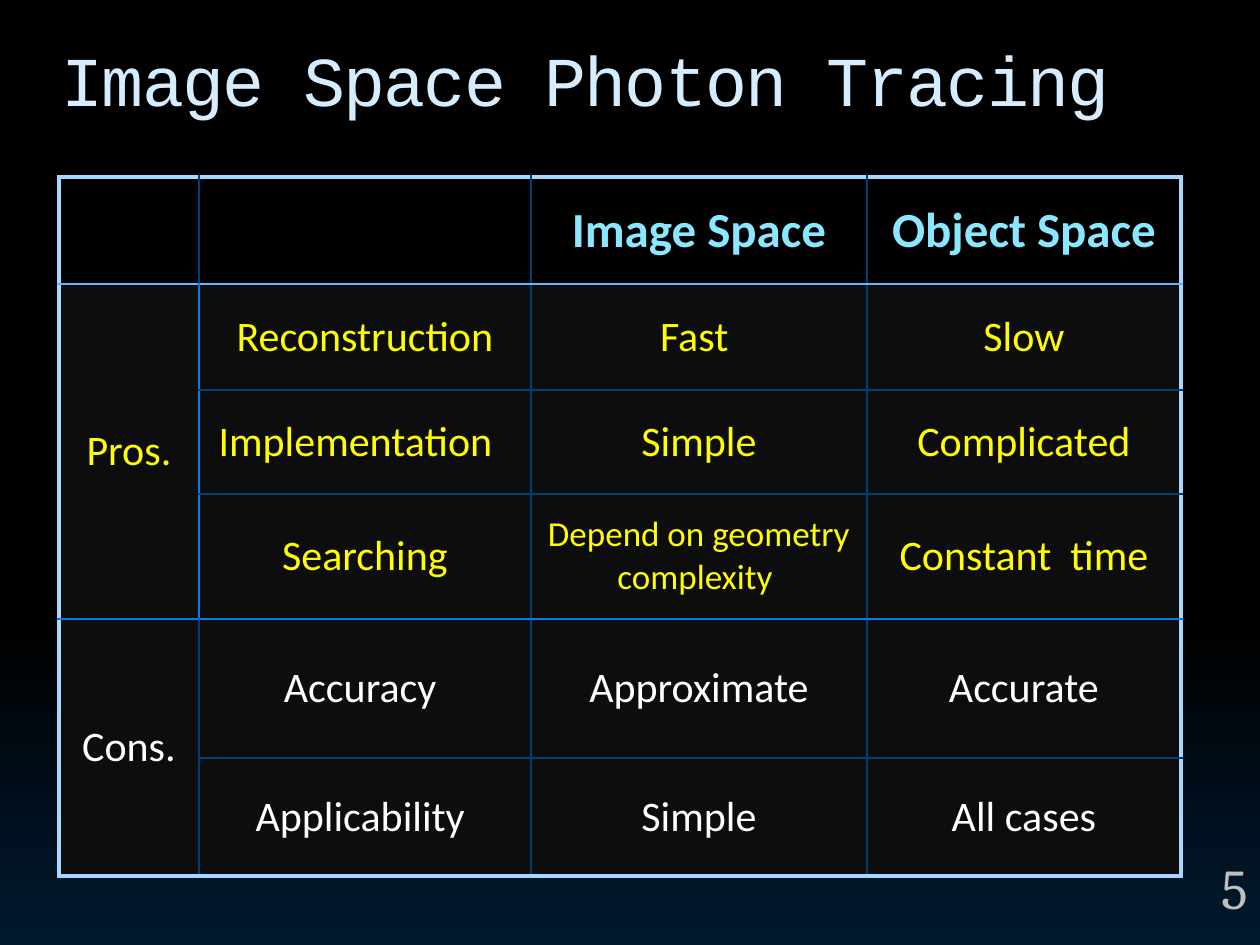
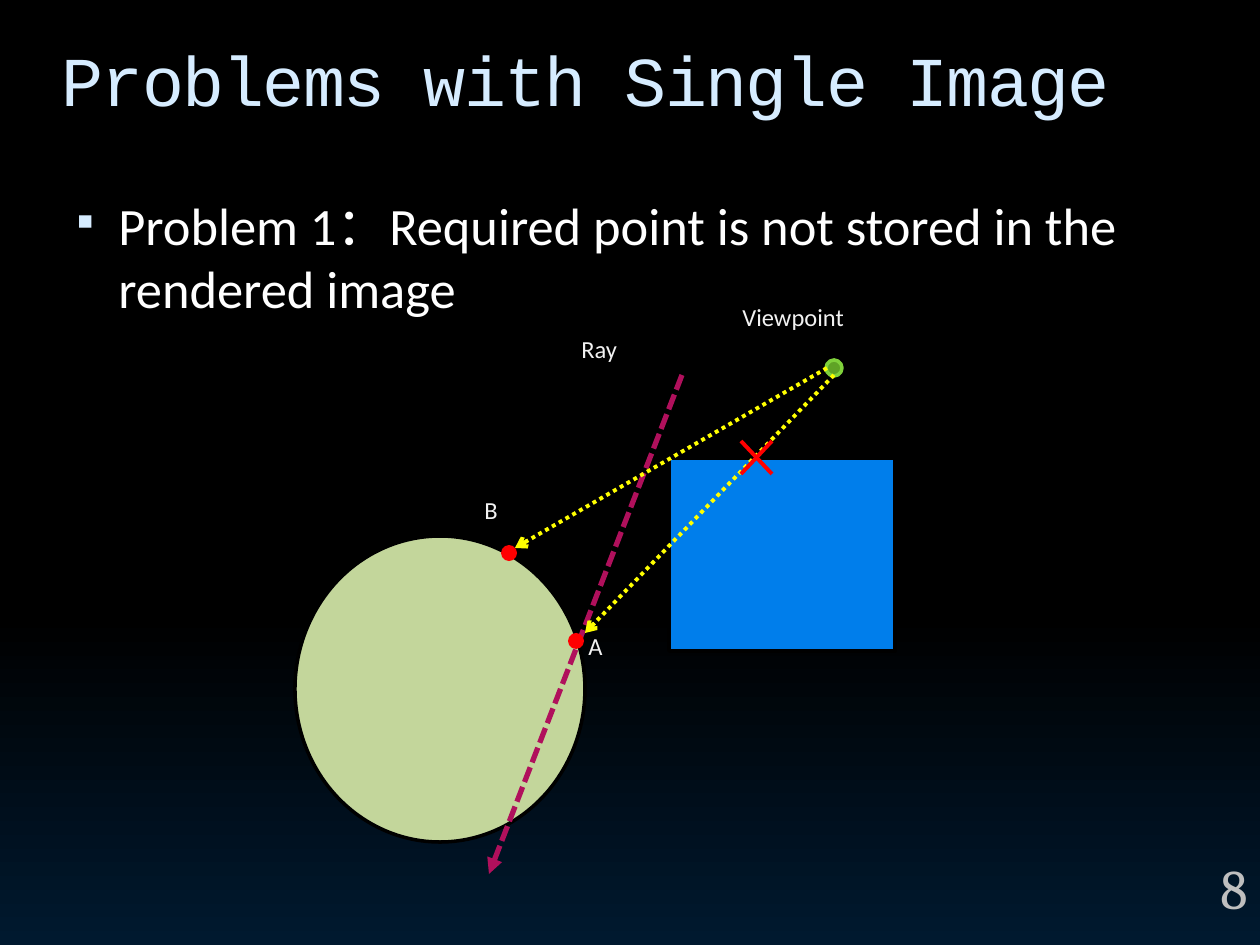
from copy import deepcopy

from lxml.etree import SubElement
from pptx import Presentation
from pptx.dml.color import RGBColor
from pptx.enum.dml import MSO_LINE
from pptx.enum.shapes import MSO_CONNECTOR, MSO_SHAPE
from pptx.enum.text import MSO_ANCHOR, PP_ALIGN
from pptx.oxml.ns import qn
from pptx.util import Emu, Pt

PX_PER_INCH = 126
PAGE_SIZE = (1260, 945)
TITLE_BOX = (49, 29, 1152, 126)
TITLE_BOTTOM_MARGIN = 34
NUMBER_BOX = (1152, 847, 108, 98)
BAND_TOP, BAND_HEIGHT = 93, 50
BANDS = ((43, 6), (37, 4), (34, 1), (30, 1))
TITLE_ONLY = 5
NO_STYLE = "{2D5ABB26-0587-4C30-8999-92F81FD0307C}"

BODY_FONT, TITLE_FONT, NUMBER_FONT = "Calibri", "Courier New", "Cambria"
BLACK, NAVY, WHITE, PALE_BLUE = "000000", "00192F", "FFFFFF", "D6ECFF"
YELLOW, RED, BLUE, GREY = "FFFF00", "FF0000", "007EEB", "BFBFBF"
LABEL_COLOR, HEADER_COLOR, CELL_FILL = "F2F2F2", "8BE6FF", "0D0D0D"
FRAME_LINE, HEADER_LINE, GRID_LINE = "A7D6FF", "61B6FF", "003F75"

COLUMN_WIDTHS = (140, 332, 336, 314)
ROW_HEIGHTS = (107, 106, 104, 125, 139, 118)
ROWS = (
    ("", "", "Image Space", "Object Space"),
    ("Pros.", "Reconstruction", "Fast ", "Slow"),
    ("", "Implementation  ", "Simple", "Complicated"),
    ("", "Searching", "Depend on geometry complexity ", "Constant  time"),
    ("Cons.", "Accuracy ", "Approximate", "Accurate"),
    ("", "Applicability ", "Simple", "All cases"),
)
PROS_START, CONS_START = 1, 4
SMALL_CELL = (3, 2)


def px(length):
    return Emu(round(length * 914400 / PX_PER_INCH))


def rgb(color):
    return RGBColor.from_string(color)


def write(para, text, size, color, font=BODY_FONT, bold=False):
    span = para.add_run()
    span.text = text
    span.font.name = font
    span.font.size = Pt(size)
    span.font.bold = bold
    span.font.color.rgb = rgb(color)
    return span


def add_text_box(shapes, box):
    frame = shapes.add_textbox(*map(px, box)).text_frame
    frame.word_wrap = True
    return frame.paragraphs[0]


def add_solid(shapes, kind, box, fill, outline=None):
    shape = shapes.add_shape(kind, *map(px, box))
    shape.shadow.inherit = False
    shape.fill.solid()
    shape.fill.fore_color.rgb = rgb(fill)
    if outline:
        shape.line.color.rgb = rgb(outline)
        shape.line.width = Pt(2)
    else:
        shape.line.fill.background()


def set_background(master):
    fill = master.background.fill
    fill.gradient()
    fill.gradient_angle = 270
    first_stop = next(master.element.iter(qn("a:gs")))
    first_stop.addnext(deepcopy(first_stop))
    stops = ((0, BLACK), (0.65, BLACK), (1, NAVY))
    for stop, (position, color) in zip(fill.gradient_stops, stops):
        stop.position = position
        stop.color.rgb = rgb(color)


def add_page(deck, title, number):
    page = deck.slides.add_slide(deck.slide_layouts[TITLE_ONLY])
    for left, width in BANDS:
        add_solid(page.shapes, MSO_SHAPE.RECTANGLE,
                  (left, BAND_TOP, width, BAND_HEIGHT), BLACK)

    heading = page.shapes.title
    heading.left, heading.top, heading.width, heading.height = map(px, TITLE_BOX)
    frame = heading.text_frame
    frame.vertical_anchor = MSO_ANCHOR.MIDDLE
    frame.margin_bottom = px(TITLE_BOTTOM_MARGIN)
    para = frame.paragraphs[0]
    para.alignment = PP_ALIGN.LEFT
    span = write(para, title, 40, PALE_BLUE, TITLE_FONT)
    span.font._element.set("spc", "-100")

    para = add_text_box(page.shapes, NUMBER_BOX)
    para.alignment = PP_ALIGN.RIGHT
    write(para, number, 32, GREY, NUMBER_FONT)
    return page


def horizontal_border(edge):
    if edge in (0, len(ROWS)):
        return FRAME_LINE, 2.25
    return {PROS_START: HEADER_LINE, CONS_START: BLUE}.get(edge, GRID_LINE), 1


def vertical_border(edge, row):
    if edge in (0, len(COLUMN_WIDTHS)):
        return FRAME_LINE, 2.25
    beside_pros = edge == 1 and PROS_START <= row < CONS_START
    return BLUE if beside_pros else GRID_LINE, 1


def set_borders(cell, row, column):
    bottom = row + cell.span_height
    borders = {
        "lnL": vertical_border(column, row),
        "lnR": vertical_border(column + 1, row),
    }
    for side, edge in (("lnT", row), ("lnB", bottom)):
        if column or edge in (0, PROS_START, CONS_START, len(ROWS)):
            borders[side] = horizontal_border(edge)
    properties = cell._tc.get_or_add_tcPr()
    for side, (color, width) in borders.items():
        line = SubElement(properties, qn(f"a:{side}"), w=str(Pt(width)))
        fill = SubElement(line, qn("a:solidFill"))
        SubElement(fill, qn("a:srgbClr"), val=color)


def format_cell(cell, row, column):
    set_borders(cell, row, column)
    if row < PROS_START:
        cell.fill.background()
        size, color = 28, HEADER_COLOR
    else:
        cell.fill.solid()
        cell.fill.fore_color.rgb = rgb(CELL_FILL)
        size = 20 if (row, column) == SMALL_CELL else 24
        color = YELLOW if row < CONS_START else WHITE
    cell.vertical_anchor = MSO_ANCHOR.MIDDLE
    if ROWS[row][column]:
        para = cell.text_frame.paragraphs[0]
        para.alignment = PP_ALIGN.CENTER
        write(para, ROWS[row][column], size, color, bold=row < PROS_START)


def add_comparison_table(page, left, top):
    size = (sum(COLUMN_WIDTHS), sum(ROW_HEIGHTS))
    frame = page.shapes.add_table(
        len(ROWS), len(COLUMN_WIDTHS), *map(px, (left, top, *size)))
    table = frame.table
    table.first_row = table.horz_banding = False
    next(frame._element.iter(qn("a:tableStyleId"))).text = NO_STYLE
    for column, width in zip(table.columns, COLUMN_WIDTHS):
        column.width = px(width)
    for row, height in zip(table.rows, ROW_HEIGHTS):
        row.height = px(height)
    for first, last in ((PROS_START, CONS_START - 1), (CONS_START, len(ROWS) - 1)):
        table.cell(first, 0).merge(table.cell(last, 0))
    for row in range(len(ROWS)):
        for column in range(len(COLUMN_WIDTHS)):
            format_cell(table.cell(row, column), row, column)


def add_problem_text(page, box):
    para = add_text_box(page.shapes, box)
    properties = para._p.get_or_add_pPr()
    properties.set("marL", str(px(57)))
    properties.set("indent", str(px(-48)))
    bullet_color = SubElement(properties, qn("a:buClr"))
    SubElement(bullet_color, qn("a:srgbClr"), val=PALE_BLUE)
    SubElement(properties, qn("a:buSzPct"), val="95000")
    SubElement(properties, qn("a:buFont"), typeface=TITLE_FONT)
    SubElement(properties, qn("a:buChar"), char="▪")
    write(para, "Problem 1：Required point is not stored in the rendered image",
          30, WHITE)


def add_occlusion_diagram(page, left, top):
    shapes = page.shapes.add_group_shape().shapes

    def place(x, y):
        return left + x, top + y

    def add_line(start, end, color, width=2.25, dash=None, arrow=None):
        points = map(px, (*place(*start), *place(*end)))
        connector = shapes.add_connector(MSO_CONNECTOR.STRAIGHT, *points)
        SubElement(connector._element.spPr, qn("a:effectLst"))
        connector.line.color.rgb = rgb(color)
        connector.line.width = Pt(width)
        if dash:
            connector.line.dash_style = dash
        if arrow:
            line = connector.line._get_or_add_ln()
            SubElement(line, qn("a:tailEnd"), type=arrow)

    def add_label(text, x, y, width):
        para = add_text_box(shapes, (*place(x, y), width, 53))
        write(para, text, 14, LABEL_COLOR)

    dot = (16, 16)
    add_solid(shapes, MSO_SHAPE.OVAL, (*place(0, 241), 290, 306), "C3D69B", BLACK)
    add_solid(shapes, MSO_SHAPE.RECTANGLE, (*place(374, 163), 226, 193), BLUE, BLACK)
    add_line((387, 80), (194, 579), "B0105C", 3, MSO_LINE.SQUARE_DOT, "triangle")
    add_solid(shapes, MSO_SHAPE.OVAL, (*place(531, 65), *dot), "5FA326", "7FD13B")
    for x, y in ((206, 250), (273, 338)):
        add_solid(shapes, MSO_SHAPE.OVAL, (*place(x, y), *dot), RED)
    for label in (("Viewpoint", 435, 1, 226), ("A", 281, 330, 112),
                  ("B", 177, 194, 97), ("Ray", 274, 33, 161)):
        add_label(*label)
    for start, end in (((532, 73), (220, 253)), ((539, 80), (290, 338))):
        add_line(start, end, YELLOW, dash=MSO_LINE.ROUND_DOT, arrow="arrow")
    for start, end in (((446, 146), (477, 179)), ((477, 146), (446, 179))):
        add_line(start, end, RED)


def main():
    deck = Presentation()
    deck.slide_width, deck.slide_height = map(px, PAGE_SIZE)
    set_background(deck.slide_master)

    page = add_page(deck, "Image Space Photon Tracing", "5")
    add_comparison_table(page, 59, 177)

    page = add_page(deck, "Problems with Single Image", "8")
    add_problem_text(page, (49, 187, 1148, 689))
    add_occlusion_diagram(page, 295, 295)

    deck.save("out.pptx")


if __name__ == "__main__":
    main()
